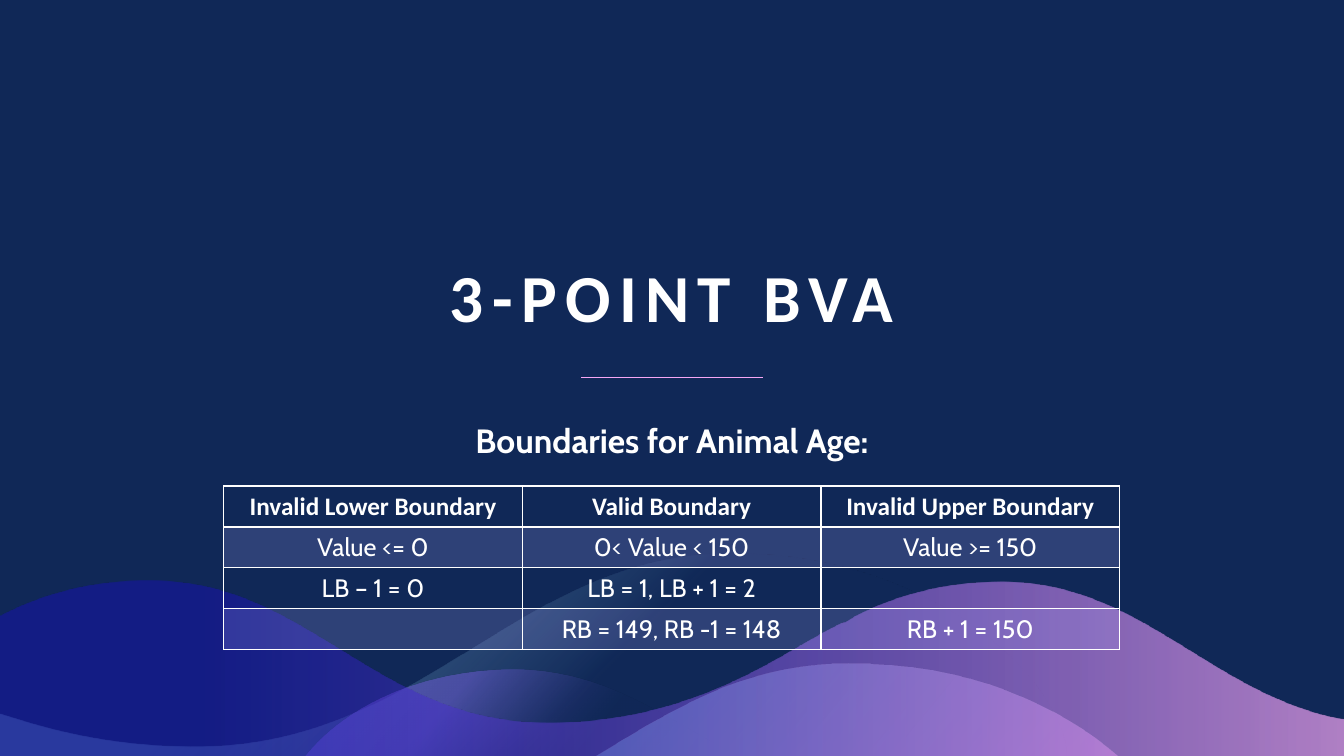
import pptx
import pptx.dml.color
import pptx.enum.shapes
import pptx.enum.text
import pptx.oxml.ns
import pptx.util
from lxml import etree

Pt = pptx.util.Pt
qn = pptx.oxml.ns.qn
CENTER = pptx.enum.text.PP_ALIGN.CENTER
COLORS = {
    "navy": "102857", "sky": "92CDF0", "violet": "765FE1", "aqua": "64DFED",
    "pink": "F6A6F4", "indigo": "180DC2", "lilac": "AAA5F9", "white": "FFFFFF",
}
BODY = {"name": "Cabin", "size": Pt(18), "bold": False}
HEADER = {"name": "Calibri", "size": Pt(18), "bold": True}
TITLE = {"name": "Calibri", "size": Pt(48), "bold": True}
SUBTITLE = {"name": "Cabin", "size": Pt(24), "bold": True}

WAVES = [
    {"start": (520.6, 0.3),
     "parts": [(661.7, -0.4, 751, 83.8, 761, 137.1), (761.8, 145), (0, 145),
               (0, 114), (14.4, 118.4), (51.8, 129.9, 95, 137.8, 144.7, 137.1),
               (305.3, 134.2, 370.1, 1, 520.6, 0.3)],
     "stops": [(43, "navy", 50), (73, "sky", 29)], "angle": None},
    {"start": (367.9, 83.1),
     "parts": [(432, 83.8, 473, 116.2, 521.3, 141.4), (528.5, 145), (217.4, 145),
               (221.8, 140), (247, 111.2, 298.1, 83.1, 367.9, 83.1)],
     "stops": [(33, "navy", 28), (66, "violet", 46)], "angle": 220},
    {"start": (606.2, 78.8),
     "parts": [(691.2, 78, 756.7, 108.3, 798.5, 144.3), (799.2, 145), (424.8, 145),
               (442.8, 134.2), (491, 104.7, 540.7, 78.8, 606.2, 78.8)],
     "stops": [(0, "aqua", 43), (100, "pink", 53)], "angle": 40},
    {"start": (108, 19.7),
     "parts": [(218.9, 19.7, 267.1, 118.4, 385.9, 120.5),
               (496.8, 122.7, 562.3, 67.2, 600.5, 50), (603.4, 49.2), (610.6, 44.9),
               (638.6, 30.5, 673.9, 20.4, 715.7, 20.4),
               (812.9, 21.2, 861.8, 96.8, 951.8, 116.9), (960, 118.4), (960, 145),
               (0, 145), (0, 44.9), (2.2, 43.5), (31, 29.1, 66.2, 19, 108, 19.7)],
     "stops": [(0, "pink", 69), (85, "indigo", 42)], "angle": 180},
]

ROWS = [
    ["Invalid Lower Boundary", "Valid Boundary", "Invalid Upper Boundary"],
    ["Value <= 0", "0< Value < 150", "Value >= 150"],
    ["LB – 1 = 0", "LB = 1, LB + 1 = 2", ""],
    ["", "RB = 149, RB -1 = 148", "RB + 1 = 150"],
]


def rgb(name):
    return pptx.dml.color.RGBColor.from_string(COLORS[name])


def add_child(parent, tag, **values):
    return etree.SubElement(parent, qn(tag), {key: str(value) for key, value in values.items()})


def write(para, text, font):
    para.alignment = CENTER
    span = para.add_run()
    span.text = text
    for key, value in font.items():
        setattr(span.font, key, value)
    span.font.color.rgb = rgb("white")
    return span


def bend_curves(shape, parts):
    segments = iter(list(shape.element.spPr.iter(qn("a:lnTo"))))
    for part in parts:
        segment = next(segments)
        if len(part) == 2:
            continue
        curve = etree.Element(qn("a:cubicBezTo"))
        segment.addprevious(curve)
        for corner in (segment, next(segments), next(segments)):
            curve.append(corner[0])
            corner.getparent().remove(corner)


def set_gradient(fill, holder, stops, angle):
    fill.gradient()
    gradient = holder.find(qn("a:gradFill"))
    for child in list(gradient):
        gradient.remove(child)
    stop_list = add_child(gradient, "a:gsLst")
    for position, color, alpha in stops:
        stop = add_child(stop_list, "a:gs", pos=position * 1000)
        add_child(add_child(stop, "a:srgbClr", val=COLORS[color]), "a:alpha", val=alpha * 1000)
    if angle is None:
        radial = add_child(gradient, "a:path", path="circle")
        add_child(radial, "a:fillToRect", l=100000, t=100000)
    else:
        add_child(gradient, "a:lin", ang=angle * 60000, scaled=0)


def add_waves(page, left, top):
    for wave in WAVES:
        corners = [wave["start"]]
        for part in wave["parts"]:
            corners += zip(part[::2], part[1::2])
        points = [(Pt(left + x), Pt(top + y)) for x, y in corners]
        builder = page.shapes.build_freeform(*points[0])
        builder.add_line_segments(points[1:], close=True)
        shape = builder.convert_to_shape()
        bend_curves(shape, wave["parts"])
        shape.shadow.inherit = False
        shape.line.fill.background()
        set_gradient(shape.fill, shape.element.spPr, wave["stops"], wave["angle"])


def add_heading(page, left, top, width):
    title = page.shapes.title
    places = {"left": left, "top": top, "width": width, "height": 84.3}
    for key, value in places.items():
        setattr(title, key, Pt(value))
    frame = title.text_frame
    frame.vertical_anchor = pptx.enum.text.MSO_ANCHOR.BOTTOM
    frame.auto_size = pptx.enum.text.MSO_AUTO_SIZE.NONE
    para = frame.paragraphs[0]
    para.line_spacing = 0.9
    span = write(para, "3-POINT BVA", TITLE)
    span.font._element.set("spc", "600")

    middle = left + width / 2
    rule = page.shapes.add_connector(
        pptx.enum.shapes.MSO_CONNECTOR.STRAIGHT,
        Pt(middle + 65), Pt(top + 109.8), Pt(middle - 65), Pt(top + 109.8))
    rule.line.width = Pt(0.5)
    set_gradient(rule.line.fill, rule.element.spPr.find(qn("a:ln")),
                 [(0, "pink", 100), (100, "aqua", 100)], 0)
    add_child(rule.element.spPr, "a:effectLst")

    box = page.shapes.add_textbox(Pt(left + 82), Pt(top + 139.5), Pt(width - 164), Pt(40))
    box.text_frame.word_wrap = True
    para = box.text_frame.paragraphs[0]
    para.line_spacing = 0.9
    write(para, "Boundaries for Animal Age:", SUBTITLE)


def format_cell(cell, text, font, shaded):
    if text:
        write(cell.text_frame.paragraphs[0], text, font)
    properties = cell._tc.get_or_add_tcPr()
    for side in ("a:lnL", "a:lnR", "a:lnT", "a:lnB"):
        border = add_child(properties, side, w=Pt(1))
        add_child(add_child(border, "a:solidFill"), "a:srgbClr", val=COLORS["white"])
    if shaded:
        cell.fill.solid()
        cell.fill.fore_color.rgb = rgb("lilac")
        color = properties.find(qn("a:solidFill")).find(qn("a:srgbClr"))
        add_child(color, "a:alpha", val=20000)
    else:
        cell.fill.background()


def add_boundaries(page, left, top, width, height):
    table = page.shapes.add_table(
        len(ROWS), len(ROWS[0]), Pt(left), Pt(top), Pt(width), Pt(height)).table
    table.first_row = False
    table.horz_banding = False
    for column in table.columns:
        column.width = Pt(width / len(ROWS[0]))
    for r, texts in enumerate(ROWS):
        table.rows[r].height = Pt(height / len(ROWS))
        for c, text in enumerate(texts):
            format_cell(table.cell(r, c), text, BODY if r else HEADER, r % 2 == 1)


def main():
    deck = pptx.Presentation()
    deck.slide_width, deck.slide_height = Pt(960), Pt(540)
    page = deck.slides.add_slide(deck.slide_layouts.get_by_name("Title Only"))
    page.background.fill.solid()
    page.background.fill.fore_color.rgb = rgb("navy")
    add_waves(page, 0, 395.2)
    add_heading(page, 120, 160, 720)
    add_boundaries(page, 159.8, 347.2, 640, 116.8)
    deck.save("out.pptx")


if __name__ == "__main__":
    main()
